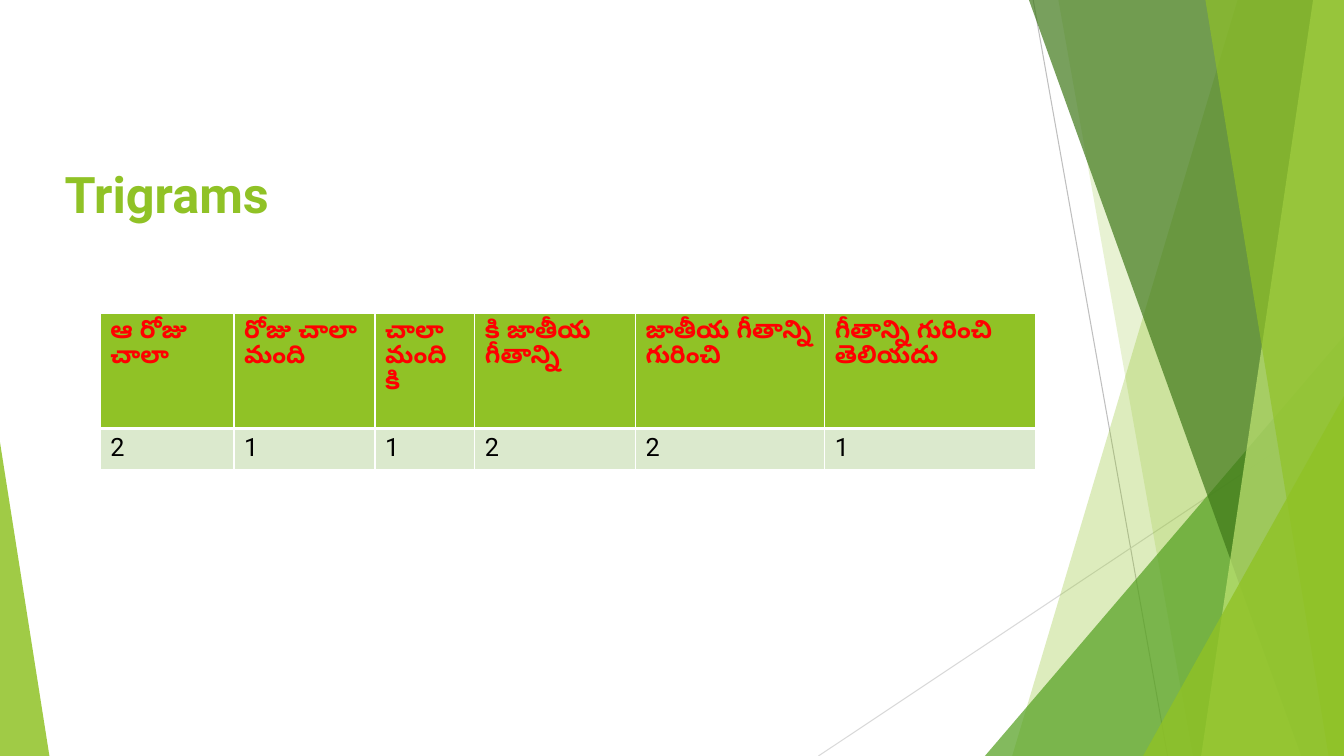
from pptx import Presentation
from pptx.dml.color import RGBColor
from pptx.enum.shapes import MSO_CONNECTOR as Connector, MSO_SHAPE as Preset
from pptx.enum.text import MSO_ANCHOR as Anchor
from pptx.oxml.ns import qn
from pptx.util import Pt
from lxml.etree import SubElement

WIDTH, HEIGHT = 960, 540
FONT = "Roboto"
COLORS = {
    "lime": "90C226", "green": "54A021", "forest": "3F7819", "pale": "C0E474",
    "gray": "BFBFBF", "silver": "D9D9D9", "white": "FFFFFF",
    "red": "FF0000", "black": "000000", "mint": "DBE9CD",
}
TRIGRAMS = [
    # trigram, count, column width
    ("ఆ రోజు చాలా", 2, 95.5),
    ("రోజు చాలా మంది", 1, 100.8),
    ("చాలా మంది కి", 1, 71.3),
    ("కి జాతీయ గీతాన్ని", 2, 114.8),
    ("జాతీయ గీతాన్ని గురించి", 2, 135.2),
    ("గీతాన్ని గురించి తెలియదు", 1, 150.6),
]


def rgb(name):
    return RGBColor.from_string(COLORS[name])


def add_line(page, start, end, color):
    line = page.shapes.add_connector(Connector.STRAIGHT, *map(Pt, start + end))
    line.line.color.rgb = rgb(color)
    line.line.width = Pt(0.75)
    SubElement(line._element.spPr, qn("a:effectLst"))


def paint(shape, color, opacity):
    """Give a shape a translucent fill, with no outline or shadow."""
    shape.shadow.inherit = False
    shape.line.fill.background()
    shape.fill.solid()
    shape.fill.fore_color.rgb = rgb(color)
    tint = shape._element.spPr.find(qn("a:solidFill"))[0]
    SubElement(tint, qn("a:alpha"), val=str(opacity * 1000))


def add_band(page, top_x, bottom_x, color, opacity):
    """Fill from a slanted left edge to the right side of the page."""
    builder = page.shapes.build_freeform(Pt(top_x), 0)
    corners = [(WIDTH, 0), (WIDTH, HEIGHT), (bottom_x, HEIGHT)]
    builder.add_line_segments([(Pt(x), Pt(y)) for x, y in corners], close=True)
    paint(builder.convert_to_shape(), color, opacity)


def add_triangle(page, left, top, width, peak, color, opacity):
    """Stand a triangle on the bottom of the page, its peak at 0 (left) to 1 (right)."""
    shape = page.shapes.add_shape(
        Preset.ISOSCELES_TRIANGLE, Pt(left), Pt(top), Pt(width), Pt(HEIGHT - top))
    shape.adjustments[0] = peak
    paint(shape, color, opacity)


def add_span(para, text, size, color, bold):
    span = para.add_run()
    span.text = text
    span.font.name = FONT
    span.font.size = Pt(size)
    span.font.bold = bold
    span.font.color.rgb = rgb(color)


def add_title(page, text):
    box = page.shapes.add_textbox(Pt(39), Pt(113), Pt(677), Pt(68.5))
    frame = box.text_frame
    frame.word_wrap = True
    frame.vertical_anchor = Anchor.TOP
    add_span(frame.paragraphs[0], text, 36, "lime", True)


def add_borders(cell, bottom_width):
    properties = cell._tc.get_or_add_tcPr()
    widths = {"lnL": 1, "lnR": 1, "lnT": 1, "lnB": bottom_width}
    for position, (side, width) in enumerate(widths.items()):
        border = SubElement(properties, qn(f"a:{side}"), w=str(Pt(width)))
        fill = SubElement(border, qn("a:solidFill"))
        SubElement(fill, qn("a:srgbClr"), val=COLORS["white"])
        properties.insert(position, border)


def fill_cell(cell, text, fill, color, bold, bottom_width):
    cell.fill.solid()
    cell.fill.fore_color.rgb = rgb(fill)
    add_borders(cell, bottom_width)
    add_span(cell.text_frame.paragraphs[0], text, 18, color, bold)


def add_count_table(page, left, top, row_heights):
    width = sum(column_width for _, _, column_width in TRIGRAMS)
    table = page.shapes.add_table(
        2, len(TRIGRAMS), Pt(left), Pt(top), Pt(width), Pt(sum(row_heights))).table
    for row, height in zip(table.rows, row_heights):
        row.height = Pt(height)
    for index, (trigram, count, column_width) in enumerate(TRIGRAMS):
        table.columns[index].width = Pt(column_width)
        fill_cell(table.cell(0, index), trigram, "lime", "red", True, 3)
        fill_cell(table.cell(1, index), str(count), "mint", "black", False, 1)


def add_backdrop(page):
    add_line(page, (738, 0), (834, HEIGHT), "gray")
    add_line(page, (WIDTH, 290), (584.6, HEIGHT), "silver")
    add_band(page, 884, 723, "lime", 30)
    add_band(page, 756, 852, "lime", 20)
    add_triangle(page, 703.5, 240, 256.5, 1, "green", 72)
    add_band(page, 735, 929.5, "forest", 70)
    add_band(page, 938, 858, "pale", 70)
    add_band(page, 861, 949, "lime", 65)
    add_triangle(page, 816.5, 283, 143.5, 1, "lime", 80)
    add_triangle(page, 0, 316, 35.3, 0, "lime", 85)


def main():
    deck = Presentation()
    deck.slide_width, deck.slide_height = Pt(WIDTH), Pt(HEIGHT)
    page = deck.slides.add_slide(deck.slide_layouts[6])
    add_backdrop(page)
    add_title(page, "Trigrams")
    add_count_table(page, 71.6, 224, (82, 29.2))
    deck.save("out.pptx")


if __name__ == "__main__":
    main()
